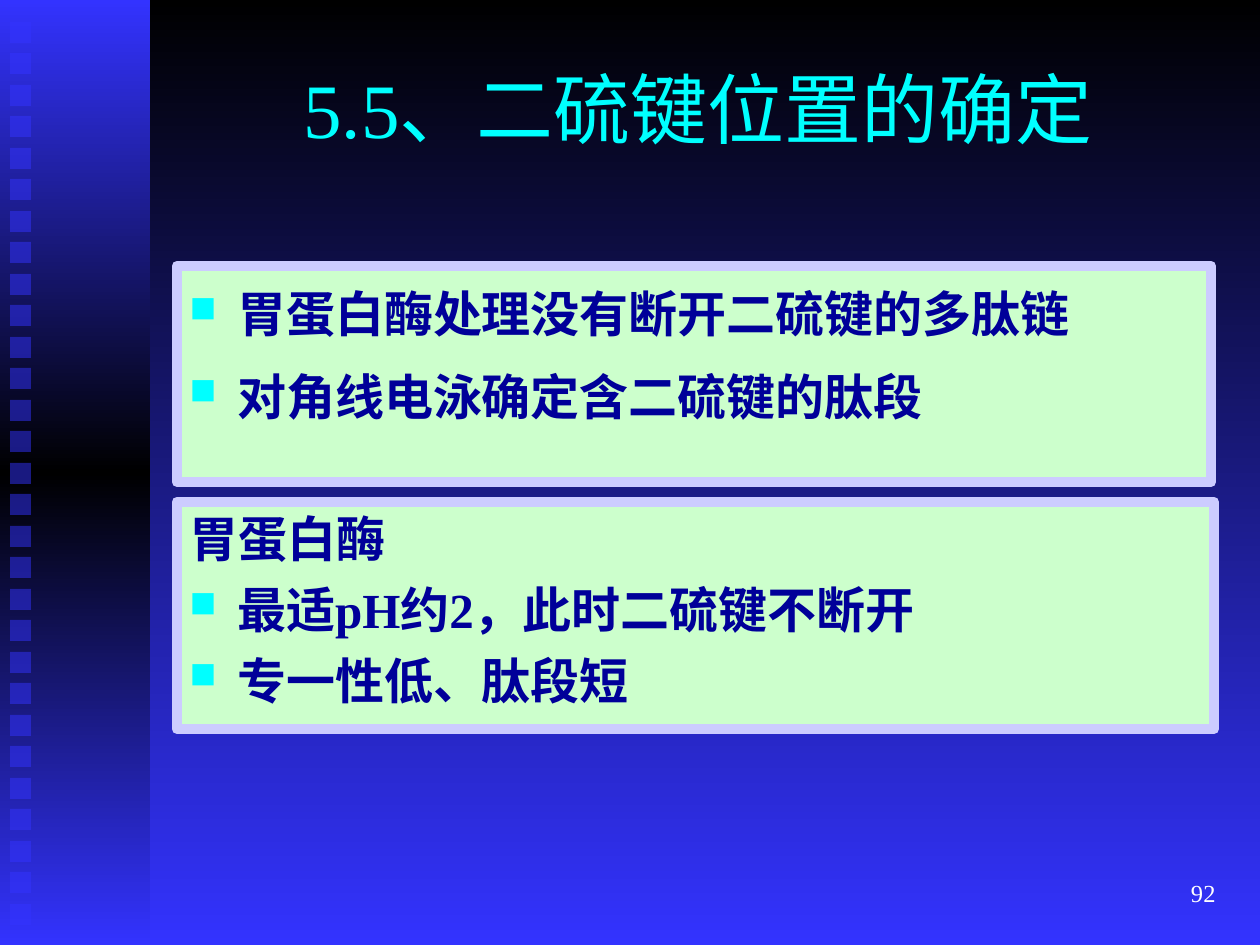
from copy import deepcopy

from lxml import etree
from pptx import Presentation
from pptx.dml.color import RGBColor
from pptx.enum.shapes import MSO_SHAPE
from pptx.enum.text import MSO_ANCHOR, MSO_AUTO_SIZE, PP_ALIGN
from pptx.oxml.ns import qn
from pptx.util import Emu, Pt

RECT = MSO_SHAPE.RECTANGLE
TOP, MIDDLE = MSO_ANCHOR.TOP, MSO_ANCHOR.MIDDLE
LEFT, CENTER, RIGHT = PP_ALIGN.LEFT, PP_ALIGN.CENTER, PP_ALIGN.RIGHT
NO_FIT = MSO_AUTO_SIZE.NONE
PX = 914400 // 126
BLUE, BLACK, CYAN, NAVY, WHITE = "3333FF", "000000", "00FFFF", "000099", "FFFFFF"
MINT, LAVENDER = "CCFFCC", "CCCCFF"


def px(n):
    return Emu(n * PX)


def rgb(value):
    return RGBColor.from_string(value)


class Deck:
    font = "Times New Roman"
    hanging = 48

    def __init__(self):
        self.prs = Presentation()
        self.prs.slide_width, self.prs.slide_height = px(1260), px(945)
        self.s = self.prs.slides.add_slide(self.prs.slide_layouts[5])

    def gradient(self, fill, colors):
        fill.gradient()
        fill.gradient_angle = 270
        first = fill._fill._gradFill.find(qn("a:gsLst"))[0]
        for _ in colors[2:]:
            first.addnext(deepcopy(first))
        for i, (stop, color) in enumerate(zip(fill.gradient_stops, colors)):
            stop.position = i / (len(colors) - 1)
            stop.color.rgb = rgb(color)

    def background(self, colors):
        self.gradient(self.s.background.fill, colors)

    def rect(self, box, fill=None, alpha=None, colors=None, line=None):
        sp = self.s.shapes.add_shape(RECT, *map(px, box))
        sp.shadow.inherit = False
        if colors:
            self.gradient(sp.fill, colors)
        else:
            sp.fill.solid()
            sp.fill.fore_color.rgb = rgb(fill)
        if alpha:
            clr = sp._element.spPr.find(qn("a:solidFill"))[0]
            etree.SubElement(clr, qn("a:alpha"), val=str(alpha * 1000))
        if line:
            sp.line.color.rgb = rgb(line)
            sp.line.width = Pt(6)
        else:
            sp.line.fill.background()
        return sp

    def set_text(self, sp, lines, size, color, align=LEFT, anchor=TOP, bold=False):
        tf = sp.text_frame
        tf.word_wrap = True
        tf.auto_size = NO_FIT
        tf.vertical_anchor = anchor
        tf.text = "\n".join(lines)
        for p in tf.paragraphs:
            p.alignment = align
            for r in p.runs:
                r.font.name = self.font
                r.font.size = Pt(size)
                r.font.bold = bold
                r.font.color.rgb = rgb(color)

    def title(self, text, box):
        sp = self.s.shapes.title
        sp.left, sp.top, sp.width, sp.height = map(px, box)
        self.set_text(sp, [text], 44, CYAN, CENTER, MIDDLE)

    def label(self, text, box):
        sp = self.s.shapes.add_textbox(*map(px, box))
        self.set_text(sp, [text], 14, WHITE, RIGHT, MIDDLE)

    def bullet(self, p):
        pPr = p._p.get_or_add_pPr()
        pPr.set("marL", str(px(self.hanging)))
        pPr.set("indent", str(-px(self.hanging)))
        clr = etree.SubElement(pPr, qn("a:buClr"))
        etree.SubElement(clr, qn("a:srgbClr"), val=CYAN)
        etree.SubElement(pPr, qn("a:buSzPct"), val="75000")
        etree.SubElement(pPr, qn("a:buChar"), char="■")

    def panel(self, box, bullets, heading=None, spacing=1.0):
        sp = self.rect(box, MINT, line=LAVENDER)
        lines = [heading] + bullets if heading else bullets
        self.set_text(sp, lines, 28, NAVY, bold=True)
        for i, p in enumerate(sp.text_frame.paragraphs):
            p.line_spacing = spacing
            p.space_before = Pt(7 if i else 0)
            if i or not heading:
                self.bullet(p)


def main():
    deck = Deck()
    deck.background([BLACK, BLUE])
    deck.rect((0, 0, 150, 945), colors=[BLUE, BLACK, BLUE])
    for i in range(29):
        deck.rect((10, 22 + i * 63 // 2, 21, 21), BLUE, alpha=50)
    deck.title("5.5、二硫键位置的确定", (158, 29, 1081, 158))
    deck.panel((177, 266, 1034, 216),
               ["胃蛋白酶处理没有断开二硫键的多肽链", "对角线电泳确定含二硫键的肽段"],
               spacing=1.2)
    deck.panel((177, 502, 1037, 227),
               ["最适pH约2，此时二硫键不断开", "专一性低、肽段短"],
               heading="胃蛋白酶")
    deck.label("92", (966, 861, 262, 63))
    deck.prs.save("out.pptx")


if __name__ == "__main__":
    main()
